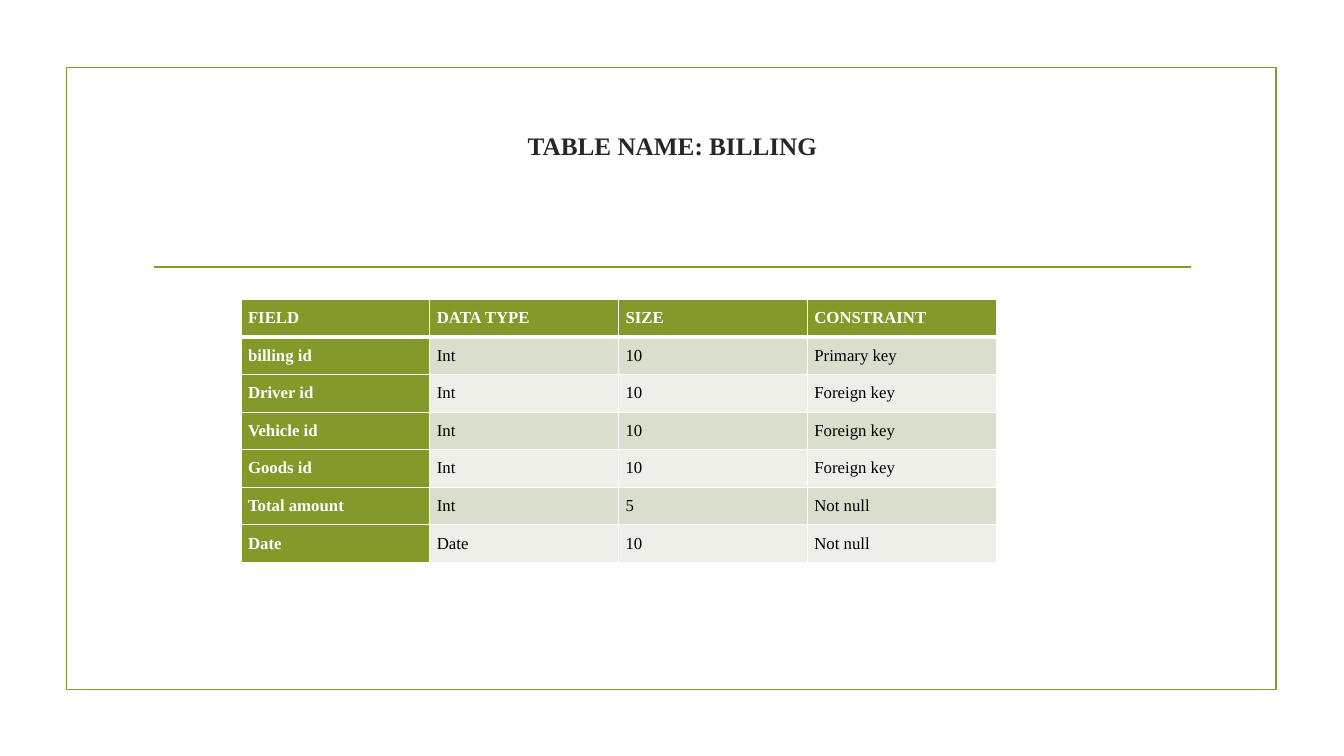
from lxml import etree
from pptx import Presentation
from pptx import util as u
from pptx.dml.color import RGBColor
from pptx.enum import shapes, text
from pptx.oxml.ns import qn

OLIVE = RGBColor(0x83, 0x99, 0x2A)
SAGE = RGBColor(0xD9, 0xDE, 0xCD)
MIST = RGBColor(0xED, 0xEF, 0xE8)
WHITE = RGBColor(0xFF, 0xFF, 0xFF)
BLACK = RGBColor(0, 0, 0)
CHARCOAL = RGBColor(0x26, 0x26, 0x26)
FONT = "Times New Roman"

BILLING_FIELDS = [
    ("FIELD", "DATA TYPE", "SIZE", "CONSTRAINT"),
    ("billing id", "Int", "10", "Primary key"),
    ("Driver id", "Int", "10", "Foreign key"),
    ("Vehicle id", "Int", "10", "Foreign key"),
    ("Goods id", "Int", "10", "Foreign key"),
    ("Total amount", "Int", "5", "Not null"),
    ("Date", "Date", "10", "Not null"),
]


def apply(target, formats):
    for name, value in formats.items():
        setattr(target, name, value)


def write(paragraph, wording, size, color, bold):
    paragraph.text = wording
    font = paragraph.runs[0].font
    apply(font, {"name": FONT, "size": u.Pt(size), "bold": bold})
    font.color.rgb = color


def outline(line):
    line.color.rgb = OLIVE
    line.width = u.Pt(1.25)


def add_frame(slide, *box):
    frame = slide.shapes.add_shape(
        shapes.MSO_SHAPE.RECTANGLE, *map(u.Inches, box))
    frame.shadow.inherit = False
    frame.fill.background()
    outline(frame.line)


def add_rule(slide, *ends):
    rule = slide.shapes.add_connector(
        shapes.MSO_CONNECTOR.STRAIGHT, *map(u.Inches, ends))
    outline(rule.line)
    etree.SubElement(rule._element.spPr, qn("a:effectLst"))


def add_title(slide, wording, *box):
    title = slide.shapes.add_textbox(*map(u.Inches, box)).text_frame
    apply(title, {
        "word_wrap": True,
        "vertical_anchor": text.MSO_ANCHOR.MIDDLE,
        "margin_bottom": u.Inches(0.74),
    })
    heading = title.paragraphs[0]
    heading.alignment = text.PP_ALIGN.CENTER
    write(heading, wording, 18, CHARCOAL, True)


def add_borders(cell, top, bottom):
    properties = cell._tc.get_or_add_tcPr()
    for side, width in {"L": 1, "R": 1, "T": top, "B": bottom}.items():
        border = etree.SubElement(
            properties, qn(f"a:ln{side}"), w=str(u.Pt(width)))
        fill = etree.SubElement(border, qn("a:solidFill"))
        etree.SubElement(fill, qn("a:srgbClr"), val=str(WHITE))


def format_cell(cell, wording, row, column):
    is_header = row == 0 or column == 0
    apply(cell, {
        "margin_left": u.Inches(0.07),
        "margin_right": u.Inches(0.07),
        "margin_top": 0,
        "margin_bottom": 0,
    })
    add_borders(cell, 3 if row == 1 else 1, 3 if row == 0 else 1)
    cell.fill.solid()
    band = SAGE if row % 2 else MIST
    cell.fill.fore_color.rgb = OLIVE if is_header else band
    entry = cell.text_frame.paragraphs[0]
    entry.line_spacing = 1.5
    write(entry, wording, 12, WHITE if is_header else BLACK, is_header)


def add_field_table(slide, fields, *box):
    table = slide.shapes.add_table(
        len(fields), len(fields[0]), *map(u.Inches, box)).table
    table.first_col = True
    for row, field in enumerate(fields):
        for column, wording in enumerate(field):
            format_cell(table.cell(row, column), wording, row, column)


def main():
    deck = Presentation()
    apply(deck, {"slide_width": u.Inches(13.33),
                 "slide_height": u.Inches(7.5)})
    slide = deck.slides.add_slide(deck.slide_layouts[6])
    add_frame(slide, 0.66, 0.67, 12, 6.17)
    add_rule(slide, 1.53, 2.65, 11.81, 2.65)
    add_title(slide, "TABLE NAME: BILLING", 1.42, 1.07, 10.5, 1.43)
    add_field_table(slide, BILLING_FIELDS, 2.39, 2.97, 7.49, 2.61)
    deck.save("out.pptx")


if __name__ == "__main__":
    main()
